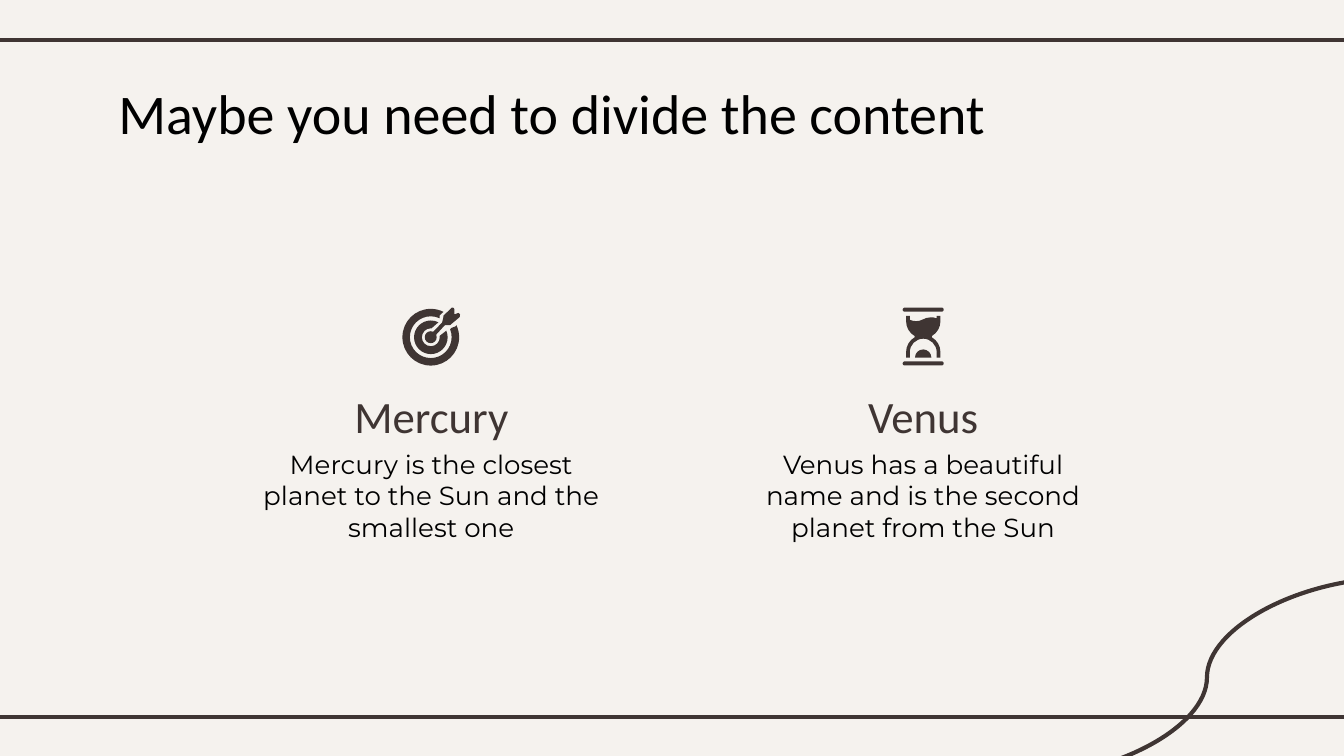
from math import ceil, cos, floor, radians, sin, tan

from lxml import etree
from pptx import Presentation
from pptx.dml.color import RGBColor
from pptx.enum.shapes import MSO_CONNECTOR, MSO_SHAPE
from pptx.enum.text import MSO_ANCHOR, MSO_AUTO_SIZE, PP_ALIGN
from pptx.oxml.ns import qn
from pptx.util import Pt

STRAIGHT, CURVE = MSO_CONNECTOR.STRAIGHT, MSO_CONNECTOR.CURVE
ROUNDED = MSO_SHAPE.ROUNDED_RECTANGLE
TOP, MIDDLE = MSO_ANCHOR.TOP, MSO_ANCHOR.MIDDLE
LEFT, CENTER = PP_ALIGN.LEFT, PP_ALIGN.CENTER
NO_AUTOFIT = MSO_AUTO_SIZE.NONE

CREAM = RGBColor(0xF5, 0xF2, 0xEE)
BROWN = RGBColor(0x3F, 0x35, 0x33)
BLACK = RGBColor(0x00, 0x00, 0x00)


def arc(radius, start, end, center_y=0):
    """A line to the arc's start, then one Bezier curve per quadrant."""
    low, high = min(start, end), max(start, end)
    quarters = [90 * n for n in range(floor(low / 90) + 1, ceil(high / 90))]
    stops = [radians(angle) for angle in sorted([low, high] + quarters, reverse=start > end)]
    segments = [[(radius * cos(stops[0]), center_y - radius * sin(stops[0]))]]
    for a, b in zip(stops, stops[1:]):
        k = 4 / 3 * tan((b - a) / 4)
        curve = [(cos(a) - k * sin(a), sin(a) + k * cos(a)),
                 (cos(b) + k * sin(b), sin(b) - k * cos(b)),
                 (cos(b), sin(b))]
        segments.append([(radius * x, center_y - radius * y) for x, y in curve])
    return segments


def fill_placeholder(placeholder, box, text, font, size, color, align, anchor):
    placeholder.left, placeholder.top, placeholder.width, placeholder.height = map(Pt, box)
    frame = placeholder.text_frame
    frame.word_wrap = True
    frame.auto_size = NO_AUTOFIT
    frame.vertical_anchor = anchor
    frame.margin_left = frame.margin_right = Pt(7.2)
    frame.margin_top = frame.margin_bottom = Pt(7.2)
    paragraph = frame.paragraphs[0]
    paragraph.alignment = align
    paragraph.line_spacing = 1.0
    paragraph.space_before = Pt(0)
    properties = paragraph._p.get_or_add_pPr()
    properties.set("marL", "0")
    properties.set("indent", "0")
    etree.SubElement(properties, qn("a:buNone"))
    run = paragraph.add_run()
    run.text = text
    run.font.name = font
    run.font.size = Pt(size)
    run.font.bold = False
    run.font.color.rgb = color


presentation = Presentation()
presentation.slide_width = Pt(720)
presentation.slide_height = Pt(405)
comparison_layout = presentation.slide_layouts[4]
slide = presentation.slides.add_slide(comparison_layout)
slide.background.fill.solid()
slide.background.fill.fore_color.rgb = CREAM

# Frame lines and corner curve
for kind, x1, y1, x2, y2 in [
    (STRAIGHT, -6, 21.5, 726, 21.5),
    (STRAIGHT, -6, 384, 726, 384),
    (CURVE, 746.9, 309.6, 546.3, 416.2),
]:
    line = slide.shapes.add_connector(kind, Pt(x1), Pt(y1), Pt(x2), Pt(y2))
    line.line.color.rgb = BROWN
    line.line.width = Pt(2.25)
    etree.SubElement(line._element.spPr, qn("a:effectLst"))

# Title
fill_placeholder(slide.shapes.title, (56.2, 34.9, 556.6, 45.4),
                 "Maybe you need to divide the content",
                 "Calibri", 30, BLACK, LEFT, TOP)

# Two planet columns: heading and description
planets = [
    (133.2, 1, "Mercury", "Mercury is the closest planet to the Sun and the smallest one"),
    (396.7, 3, "Venus", "Venus has a beautiful name and is the second planet from the Sun"),
]
for left, index, name, description in planets:
    fill_placeholder(slide.placeholders[index], (left, 208.8, 195.8, 28.1),
                     name, "Calibri", 24, BROWN, CENTER, MIDDLE)
    fill_placeholder(slide.placeholders[index + 1], (left, 233, 195.8, 71.3),
                     description, "Montserrat", 14, BLACK, CENTER, TOP)

# Icon outlines in points from each icon's centre: lines [end], curves [control, control, end]
arrow = arc(3.2, 65, 385) + [
    [(7.6, -6.5)], [(10.4, -6.5)], [(11.2, -7.2)], [(15.5, -10.8)],
    [(16.2, -12), (15.5, -13), (14.8, -13)], [(12.6, -12.2)], [(12.6, -15.1)],
    [(12.6, -15.8), (11.9, -16), (11.2, -15.8)], [(6.8, -11.5)], [(6.8, -10.8)], [(6.1, -7.9)]]
inner_ring = arc(9, 63, 383) + arc(4.8, 369, 86)
outer_ring = (arc(15.2, 63, 385) + [[(13.3, -5.8)], [(11.2, -5)]]
              + arc(11.2, 382, 65) + [[(4.7, -11.5)], [(6.1, -13)]])
sand_heap = arc(4.4, 0, 180, 11.2)
glass = (
    [[(7.2, -11.2)], [(7.2, -9.8)], [(6.2, -10.2), (5.2, -10.4), (4.3, -10.4)],
     [(2.5, -10.4), (0.7, -9.8), (-0.7, -9)], [(-2.5, -8.1), (-5, -8.1), (-7.2, -9)],
     [(-7.2, -11.2)], [(-9.2, -11.2)]]
    + arc(9.2, 180, 240, -8.3) + arc(9.2, 120, 180, 8.3)
    + [[(-9.2, 11.2)], [(-7.2, 11.2)]] + arc(7.2, 180, 0, 8.3)
    + [[(7.2, 11.2)], [(9.2, 11.2)]]
    + arc(9.2, 0, 60, 8.3) + arc(9.2, 300, 360, -8.3) + [[(9.2, -11.2)]])

# Target and hourglass icons
icons = [
    (230.8, 180.7, [arrow, inner_ring, outer_ring], []),
    (494.6, 180.4, [sand_heap, glass], [-15.6, 13.2]),
]
for center_x, center_y, outlines, bar_tops in icons:
    icon = slide.shapes.add_group_shape()
    parts = []
    for outline in outlines:
        segments = [[(Pt(center_x + x), Pt(center_y + y)) for x, y in segment]
                    for segment in outline]
        ends = [segment[-1] for segment in segments]
        builder = icon.shapes.build_freeform(*ends[0])
        builder.add_line_segments(ends[1:], close=True)
        shape = builder.convert_to_shape()
        parts.append(shape)
        # Bend the straight segments that have control points
        line_elements = list(shape._element.iter(qn("a:lnTo")))
        for element, segment in zip(line_elements, segments[1:]):
            if len(segment) == 3:
                element.tag = qn("a:cubicBezTo")
                element.remove(element[0])
                for x, y in segment:
                    etree.SubElement(element, qn("a:pt"),
                                     x=str(x - shape.left), y=str(y - shape.top))
    for bar_top in bar_tops:
        bar = icon.shapes.add_shape(ROUNDED, Pt(center_x - 11), Pt(center_y + bar_top),
                                    Pt(22), Pt(2.2))
        bar.adjustments[0] = 0.5
        parts.append(bar)
    for shape in parts:
        shape.shadow.inherit = False
        shape.fill.solid()
        shape.fill.fore_color.rgb = BROWN
        shape.line.fill.background()

presentation.save("out.pptx")
